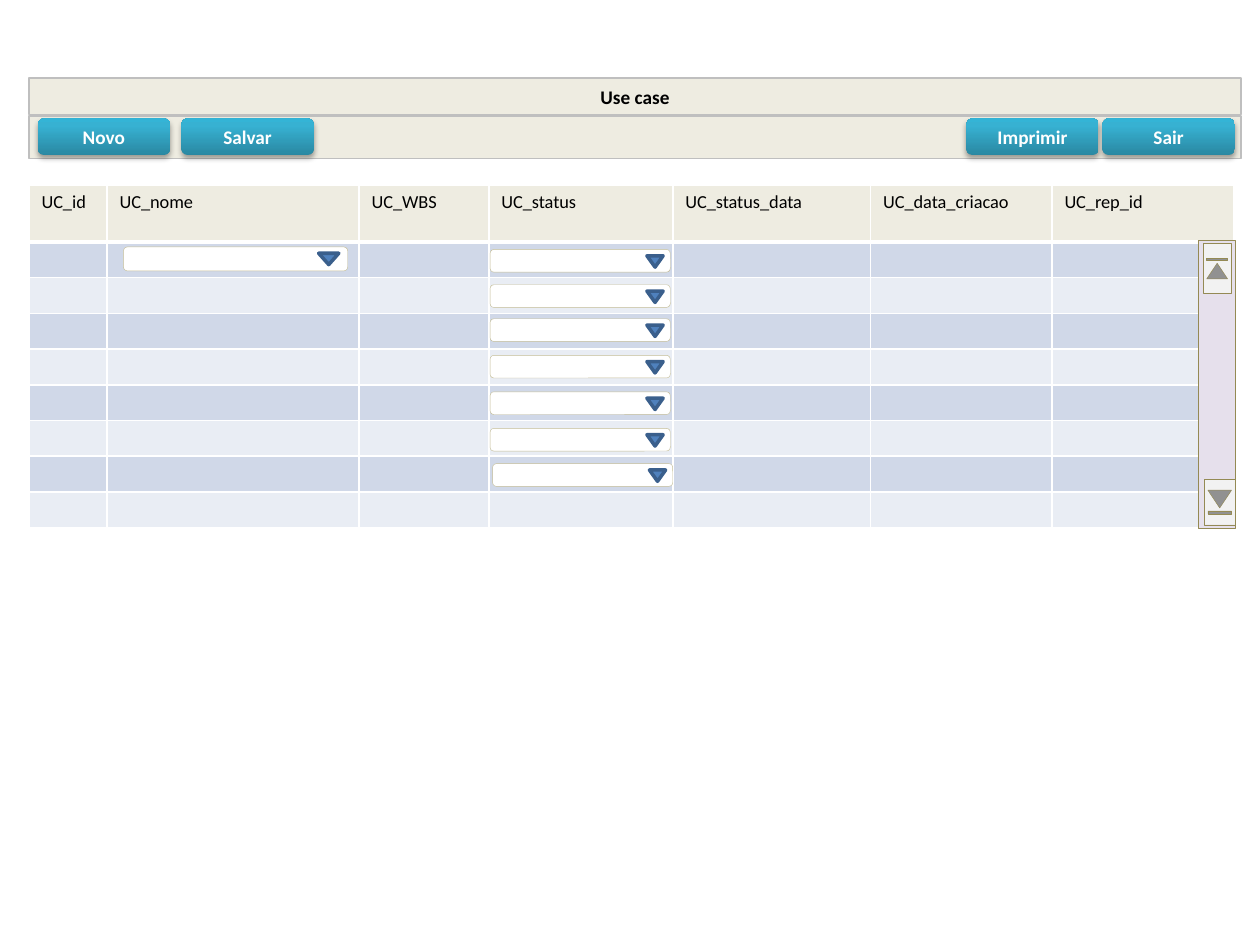
from pptx import Presentation
from pptx.dml.color import RGBColor
from pptx.enum.shapes import MSO_SHAPE as Preset
from pptx.enum.text import MSO_ANCHOR as Anchor, MSO_AUTO_SIZE as AutoSize, PP_ALIGN as Align
from pptx.oxml import parse_xml
from pptx.oxml.ns import nsdecls
from pptx.util import Inches, Pt

HEADINGS = ["UC_id", "UC_nome", "UC_WBS", "UC_status", "UC_status_data",
            "UC_data_criacao", "UC_rep_id"]
COLUMN_WIDTHS = [0.62, 2, 1.03, 1.46, 1.57, 1.44, 1.44]
HEADER_HEIGHT = 0.45
BODY_ROWS = 8
STATUS_TOPS = [1.98, 2.26, 2.53, 2.82, 3.11, 3.4]
BUTTON_STOPS = [(0, "2A88A2"), (80, "37B1D2"), (100, "34B4D6")]


def color(value):
    return RGBColor.from_string(value)


def paint(shape, fill, line, width):
    shape.fill.solid()
    shape.fill.fore_color.rgb = color(fill)
    shape.line.color.rgb = color(line)
    shape.line.width = Pt(width)


def add_box(parent, preset, left, top, width, height):
    shape = parent.add_shape(preset, Inches(left), Inches(top), Inches(width), Inches(height))
    shape.shadow.inherit = False
    return shape


def write(frame, text, size, shade, bold, align):
    para = frame.paragraphs[0]
    para.alignment = align
    span = para.add_run()
    span.text = text
    span.font.name = "Calibri"
    span.font.size = Pt(size)
    span.font.bold = bold
    span.font.color.rgb = color(shade)


def add_title_bar(page, left, top, width, height):
    title = page.shapes.title
    title.left, title.top = Inches(left), Inches(top)
    title.width, title.height = Inches(width), Inches(height)
    paint(title, "EEECE1", "BFBFBF", 0.75)
    title.text_frame.auto_size = AutoSize.NONE
    title.text_frame.vertical_anchor = Anchor.MIDDLE
    write(title.text_frame, "Use case", 11, "000000", True, Align.CENTER)


def add_button(page, text, left, top):
    button = add_box(page.shapes, Preset.ROUNDED_RECTANGLE, left, top, 1.05, 0.29)
    properties = button._element.spPr
    properties.remove(properties[-1])
    stops = "".join(f'<a:gs pos="{place * 1000}"><a:srgbClr val="{shade}"/></a:gs>'
                    for place, shade in BUTTON_STOPS)
    properties.append(parse_xml(
        f'<a:gradFill {nsdecls("a")}><a:gsLst>{stops}</a:gsLst>'
        '<a:lin ang="16200000" scaled="0"/></a:gradFill>'))
    button.line.fill.background()
    properties.append(parse_xml(
        f'<a:effectLst {nsdecls("a")}><a:outerShdw blurRad="{Pt(3.1)}" dist="{Pt(1.8)}" '
        'dir="5400000" rotWithShape="0"><a:srgbClr val="000000"><a:alpha val="35000"/>'
        '</a:srgbClr></a:outerShdw></a:effectLst>'))
    button.text_frame.vertical_anchor = Anchor.MIDDLE
    write(button.text_frame, text, 11, "FFFFFF", True, Align.CENTER)


def add_toolbar(page, left, top, width, height):
    bar = add_box(page.shapes, Preset.RECTANGLE, left, top, width, height)
    paint(bar, "EEECE1", "BFBFBF", 0.75)
    for text, offset in [("Novo", 0.07), ("Salvar", 1.21), ("Imprimir", 7.44), ("Sair", 8.52)]:
        add_button(page, text, left + offset, top + 0.02)


def add_borders(cell, bottom):
    properties = cell._tc.get_or_add_tcPr()
    for side, width in [("L", 1), ("R", 1), ("T", 1), ("B", bottom)]:
        properties.append(parse_xml(
            f'<a:ln{side} {nsdecls("a")} w="{Pt(width)}"><a:solidFill>'
            f'<a:srgbClr val="FFFFFF"/></a:solidFill></a:ln{side}>'))


def add_grid(page, left, top, width, height):
    grid = page.shapes.add_table(BODY_ROWS + 1, len(HEADINGS), Inches(left), Inches(top),
                                 Inches(width), Inches(height)).table
    for column, column_width in zip(grid.columns, COLUMN_WIDTHS):
        column.width = Inches(column_width)
    for index, row in enumerate(grid.rows):
        header = index == 0
        row.height = Inches(HEADER_HEIGHT if header else (height - HEADER_HEIGHT) / BODY_ROWS)
        shade = "EEECE1" if header else ("E9EDF4", "D0D8E8")[index % 2]
        for cell, heading in zip(row.cells, HEADINGS):
            add_borders(cell, 3 if header else 1)
            cell.fill.solid()
            cell.fill.fore_color.rgb = color(shade)
            if header:
                write(cell.text_frame, heading, 10.5, "000000", False, Align.LEFT)
            else:
                cell.text_frame.paragraphs[0]._p.append(
                    parse_xml(f'<a:endParaRPr {nsdecls("a")} sz="1050"/>'))


def add_dropdown(page, left, top, width, height):
    group = page.shapes.add_group_shape()
    field = add_box(group.shapes, Preset.ROUNDED_RECTANGLE, left, top, width, height)
    paint(field, "FFFFFF", "C4BD97", 0.25)
    arrow = add_box(group.shapes, Preset.FLOWCHART_EXTRACT, left + 0.87 * width, top + 0.05,
                    0.09 * width, 0.09)
    arrow.rotation = 180
    paint(arrow, "4F81BD", "3A5F8C", 2)


def add_scrollbar(page, left, top, width, height):
    group = page.shapes.add_group_shape()
    track = add_box(group.shapes, Preset.RECTANGLE, left, top, width, height)
    paint(track, "E6E0EC", "948A54", 0.25)
    for x, y, length, depth, turn in [(-0.05, 0.11, 0.4, 0.22, 270),
                                      (-0.01, 1.95, 0.36, 0.25, 90)]:
        end = add_box(group.shapes, Preset.ACTION_BUTTON_END, left + x, top + y, length, depth)
        end.rotation = turn
        paint(end, "F2F2F2", "948A54", 0.25)


def add_use_case_page(deck):
    page = deck.slides.add_slide(deck.slide_layouts[5])
    add_title_bar(page, 0.23, 0.62, 9.62, 0.29)
    add_toolbar(page, 0.23, 0.92, 9.62, 0.34)
    add_grid(page, 0.23, 1.47, 9.56, 2.72)
    add_dropdown(page, 0.98, 1.96, 1.78, 0.19)
    for top in STATUS_TOPS:
        add_dropdown(page, 3.89, top, 1.43, 0.18)
    add_dropdown(page, 3.91, 3.68, 1.43, 0.18)
    add_scrollbar(page, 9.51, 1.91, 0.29, 2.28)


deck = Presentation()
deck.slide_width, deck.slide_height = Inches(10), Inches(7.5)
add_use_case_page(deck)
deck.save("out.pptx")
